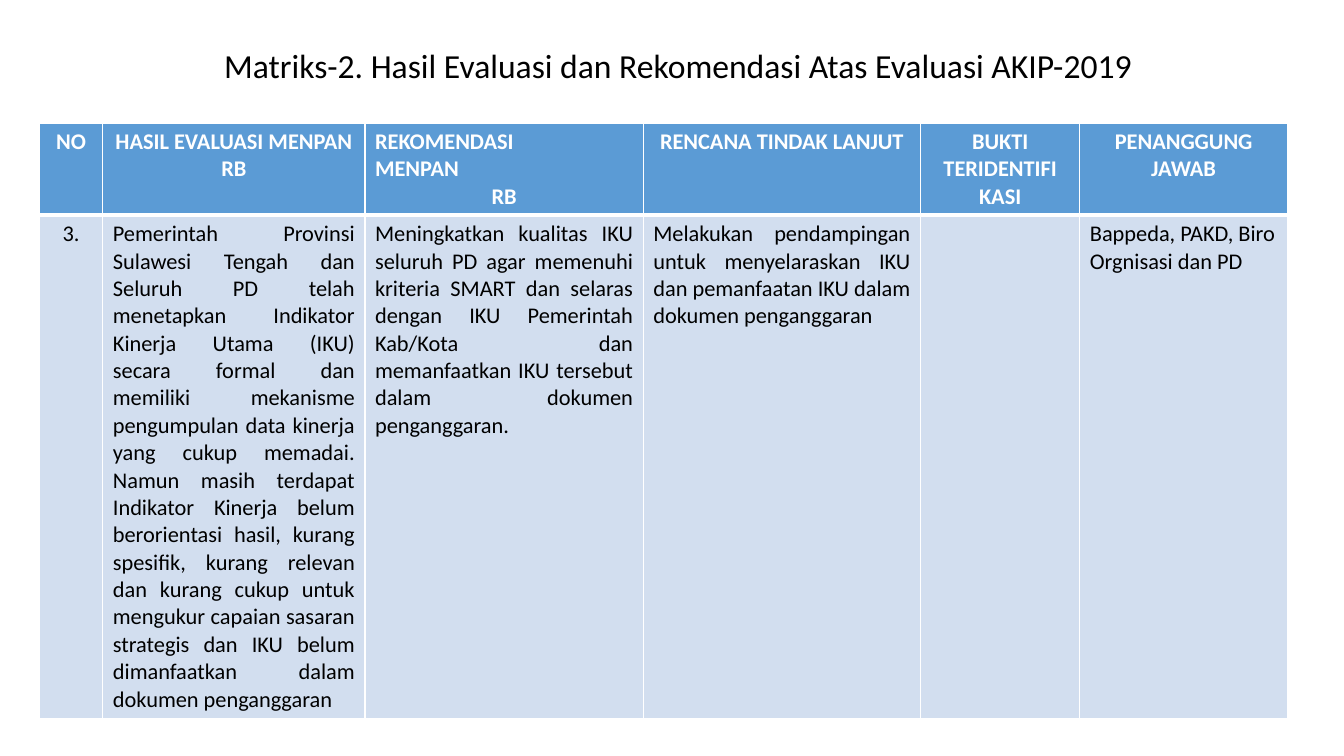
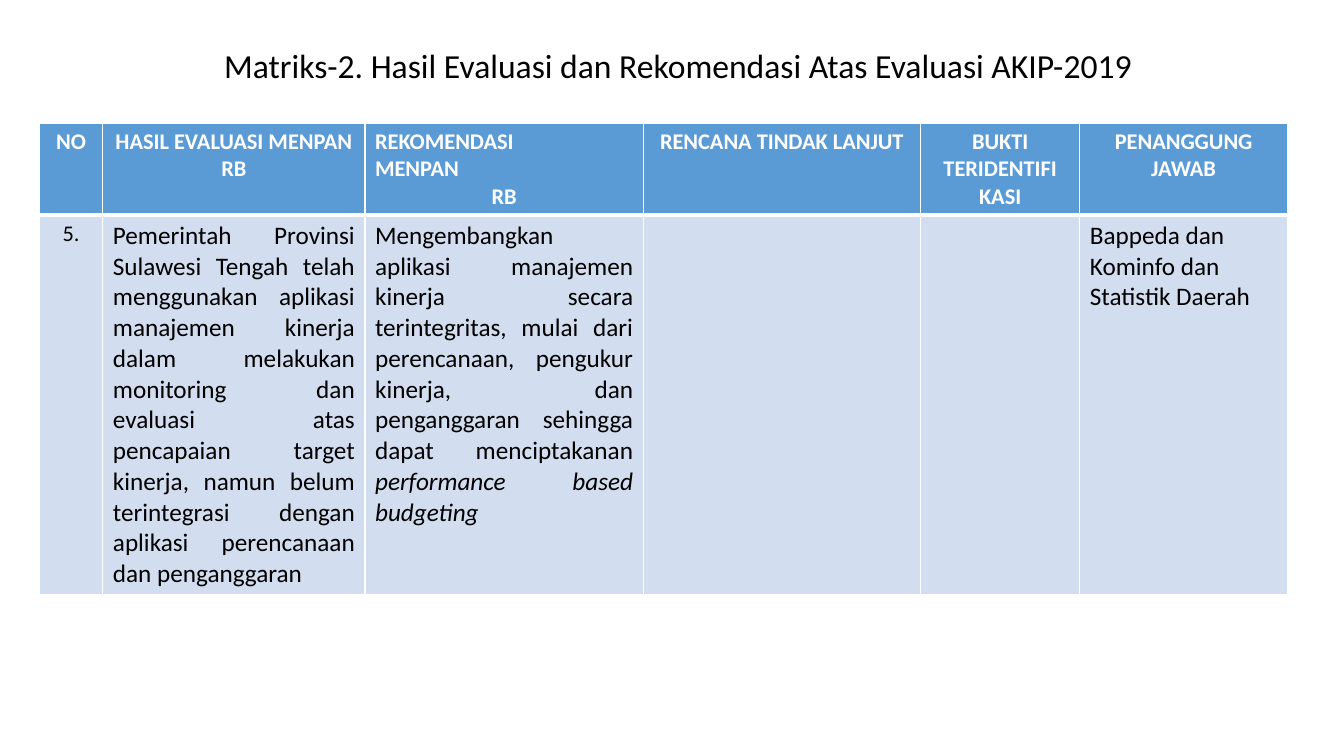
from lxml.etree import SubElement
from pptx import Presentation
from pptx.dml.color import RGBColor
from pptx.enum.text import MSO_ANCHOR, MSO_AUTO_SIZE, PP_ALIGN
from pptx.oxml.ns import qn
from pptx.util import Inches, Pt

FONT = "Calibri"
WHITE, BLACK, BLUE, PALE_BLUE = "FFFFFF", "000000", "5B9BD5", "D2DEEF"
SLIDE_WIDTH, SLIDE_HEIGHT = 13.33, 7.5
TABLE_LEFT, TABLE_TOP = 0.39, 1.22
COLUMN_WIDTHS = [0.63, 2.6, 2.76, 2.75, 1.58, 2.06]
HEADER_HEIGHT = 0.91
TAB_STOP = 1.73
THIN, THICK = 1, 3

TITLE = "Matriks-2. Hasil Evaluasi dan Rekomendasi Atas Evaluasi AKIP-2019"
HEADERS = [
    ["NO"],
    ["HASIL EVALUASI MENPAN RB"],
    ["REKOMENDASI\tMENPAN", "RB"],
    ["RENCANA TINDAK LANJUT"],
    ["BUKTI TERIDENTIFI KASI"],
    ["PENANGGUNG JAWAB"],
]
BODY_ALIGNMENTS = [PP_ALIGN.CENTER] + [PP_ALIGN.JUSTIFY] * 4 + [PP_ALIGN.LEFT]

MATRICES = [
    {
        "number": "3.",
        "size": 16,
        "height": 4.98,
        "cells": [
            ["Pemerintah Provinsi Sulawesi Tengah dan Seluruh PD telah menetapkan "
             "Indikator Kinerja Utama (IKU) secara formal dan memiliki mekanisme "
             "pengumpulan data kinerja yang cukup memadai. Namun masih terdapat "
             "Indikator Kinerja belum berorientasi hasil, kurang spesifik, kurang "
             "relevan dan kurang cukup untuk mengukur capaian sasaran strategis dan "
             "IKU belum dimanfaatkan dalam dokumen penganggaran"],
            ["Meningkatkan kualitas IKU seluruh PD agar memenuhi kriteria SMART dan "
             "selaras dengan IKU Pemerintah Kab/Kota dan memanfaatkan IKU tersebut "
             "dalam dokumen penganggaran."],
            ["Melakukan pendampingan untuk menyelaraskan IKU dan pemanfaatan IKU "
             "dalam dokumen penganggaran"],
            [],
            ["Bappeda, PAKD, Biro Orgnisasi dan PD"],
        ],
    },
    {
        "number": "5.",
        "size": 18,
        "height": 3.76,
        "cells": [
            ["Pemerintah Provinsi Sulawesi Tengah telah menggunakan aplikasi "
             "manajemen kinerja dalam melakukan monitoring dan evaluasi atas "
             "pencapaian target kinerja, namun belum terintegrasi dengan aplikasi "
             "perencanaan dan penganggaran"],
            ["Mengembangkan aplikasi manajemen kinerja secara terintegritas, mulai "
             "dari perencanaan, pengukur kinerja, dan penganggaran sehingga dapat "
             "menciptakanan ",
             "performance based budgeting"],
            [],
            [],
            ["Bappeda dan Kominfo dan Statistik Daerah"],
        ],
    },
]


def color(value):
    return RGBColor.from_string(value)


def add_run(paragraph, text, size, text_color, bold=False, italic=False):
    run = paragraph.add_run()
    run.text = text
    run.font.name = FONT
    run.font.size = Pt(size)
    run.font.bold = bold
    run.font.italic = italic
    run.font.color.rgb = color(text_color)


def add_tab_stop(paragraph, position):
    stops = SubElement(paragraph._p.get_or_add_pPr(), qn("a:tabLst"))
    SubElement(stops, qn("a:tab"), pos=str(Inches(position)), algn="l")


def style_cell(cell, fill_color, bottom_width):
    properties = cell._tc.get_or_add_tcPr()
    widths = {"a:lnL": THIN, "a:lnR": THIN, "a:lnT": THIN, "a:lnB": bottom_width}
    for side, width in widths.items():
        border = SubElement(properties, qn(side), w=str(Pt(width)))
        SubElement(SubElement(border, qn("a:solidFill")), qn("a:srgbClr"), val=WHITE)
    cell.fill.solid()
    cell.fill.fore_color.rgb = color(fill_color)


def write_header(cell, lines):
    style_cell(cell, BLUE, THICK)
    for index, line in enumerate(lines):
        frame = cell.text_frame
        paragraph = frame.add_paragraph() if index else frame.paragraphs[0]
        if "\t" in line:
            paragraph.alignment = PP_ALIGN.LEFT
            add_tab_stop(paragraph, TAB_STOP)
        else:
            paragraph.alignment = PP_ALIGN.CENTER
        add_run(paragraph, line, 16, WHITE, bold=True)


def write_body(cell, texts, size, alignment, top_width):
    style_cell(cell, PALE_BLUE, top_width)
    paragraph = cell.text_frame.paragraphs[0]
    paragraph.alignment = alignment
    for index, text in enumerate(texts):
        add_run(paragraph, text, size, BLACK, italic=index > 0)


def add_title(slide):
    title = slide.shapes.title
    title.left, title.top = Inches(0.57), Inches(0.4)
    title.width, title.height = Inches(12.31), Inches(0.51)
    frame = title.text_frame
    frame.word_wrap = True
    frame.auto_size = MSO_AUTO_SIZE.NONE
    frame.vertical_anchor = MSO_ANCHOR.TOP
    paragraph = frame.paragraphs[0]
    paragraph.alignment = PP_ALIGN.CENTER
    add_run(paragraph, TITLE, 24, BLACK)


def add_matrix(slide, matrix):
    heights = [HEADER_HEIGHT, matrix["height"]]
    table = slide.shapes.add_table(
        len(heights), len(COLUMN_WIDTHS), Inches(TABLE_LEFT), Inches(TABLE_TOP),
        Inches(sum(COLUMN_WIDTHS)), Inches(sum(heights))).table
    table.horz_banding = False
    for row, height in zip(table.rows, heights):
        row.height = Inches(height)
    contents = [[matrix["number"]]] + matrix["cells"]
    for index, width in enumerate(COLUMN_WIDTHS):
        table.columns[index].width = Inches(width)
        write_header(table.cell(0, index), HEADERS[index])
        size = matrix["size"] if index else 16
        write_body(table.cell(1, index), contents[index], size,
                   BODY_ALIGNMENTS[index], THIN)


def main():
    presentation = Presentation()
    presentation.slide_width = Inches(SLIDE_WIDTH)
    presentation.slide_height = Inches(SLIDE_HEIGHT)
    for matrix in MATRICES:
        slide = presentation.slides.add_slide(presentation.slide_layouts[5])
        add_title(slide)
        add_matrix(slide, matrix)
    presentation.save("out.pptx")


if __name__ == "__main__":
    main()
